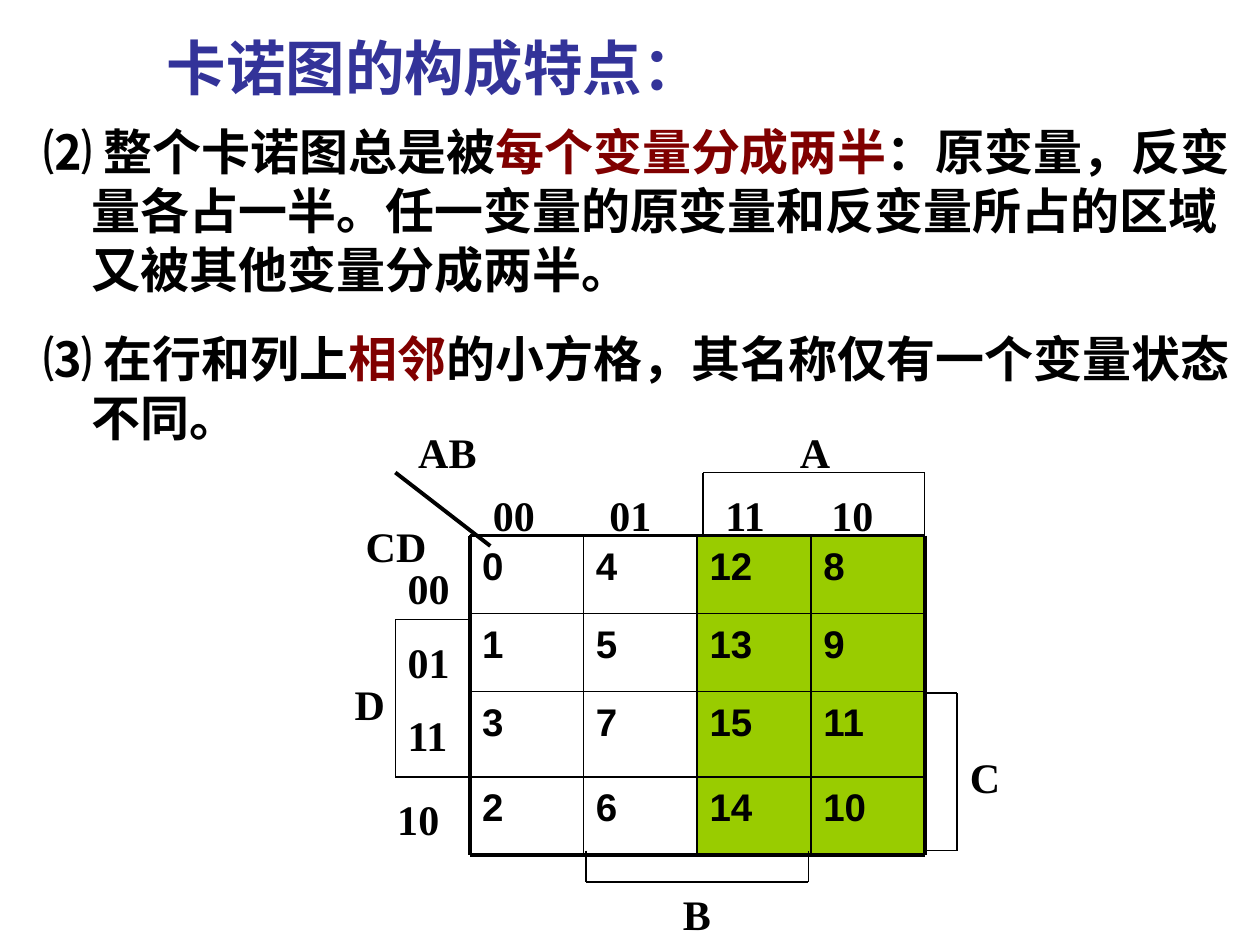
import itertools

import pptx
import pptx.dml.color
import pptx.enum.shapes
import pptx.enum.text
import pptx.oxml
import pptx.oxml.ns
import pptx.util

SLIDE_WIDTH, SLIDE_HEIGHT = 10, 7.5
COLUMNS, ROWS = 120, 90
INK, TITLE_BLUE, ACCENT, GREEN, WHITE = "000000", "333399", "800000", "99CC00", "FFFFFF"
THIN, INNER, THICK = 0.75, 1, 2.25

MAP_LEFT, MAP_TOP, MAP_CELL_WIDTH = 44.75, 51, 10.83
MAP_ROW_HEIGHTS = (7.43, 7.43, 8.14, 7.4)
MINTERMS = ((0, 4, 12, 8), (1, 5, 13, 9), (3, 7, 15, 11), (2, 6, 14, 10))
MAP_SIZE = len(MINTERMS)
COLUMN_EDGES = [MAP_LEFT + MAP_CELL_WIDTH * step for step in range(MAP_SIZE + 1)]
ROW_EDGES = list(itertools.accumulate(MAP_ROW_HEIGHTS, initial=MAP_TOP))
MAP_RIGHT, MAP_BOTTOM = COLUMN_EDGES[-1], ROW_EDGES[-1]

TITLE_FORMAT = {"name": "Arial", "size": pptx.util.Pt(34), "bold": True}
BODY_FORMAT = {"name": "Arial", "size": pptx.util.Pt(28), "bold": True}
CELL_FORMAT = {"name": "Arial", "size": pptx.util.Pt(22), "bold": True}
LABEL_FORMAT = {"name": "Times New Roman", "size": pptx.util.Pt(24), "bold": True}

TITLE = [[("卡诺图的构成特点：", TITLE_BLUE)]]
FEATURES = [
    [("⑵ 整个卡诺图总是被", INK), ("每个变量分成两半", ACCENT),
     ("：原变量，反变量各占一半。任一变量的原变量和反变量所占的区域又被其他变量分成两半。", INK)],
    [("⑶ 在行和列上", INK), ("相邻", ACCENT),
     ("的小方格，其名称仅有一个变量状态不同。", INK)],
]
VARIABLE_LABELS = (
    ("A", 75, 40), ("B", 63.85, 84), ("C", 91.2, 71), ("D", 32.6, 64),
    ("AB", 38.65, 40), ("CD", 33.65, 49),
)
AB_CODES = (("00", 45.75, 46), ("01", 56.85, 46), ("11", 67.9, 46), ("10", 78, 46))
CD_CODES = (("00", 37.65, 53), ("01", 37.65, 60), ("11", 37.65, 67), ("10", 36.65, 75))
BRACKETS = (
    ((66.95, 51), (66.95, 45), (MAP_RIGHT, 45), (MAP_RIGHT, 51)),
    ((55.8, 81), (55.8, 84), (77, 84), (77, 81)),
    ((MAP_RIGHT, 66), (91.15, 66), (91.15, 81), (MAP_RIGHT, 81)),
    ((MAP_LEFT, 59), (37.65, 59), (37.65, 74), (MAP_LEFT, 74)),
)
CORNER_DIAGONAL = ((37.65, 45), (46.7, 52))


def across(columns):
    """Turn grid columns into a length."""
    return pptx.util.Inches(columns * SLIDE_WIDTH / COLUMNS)


def down(rows):
    """Turn grid rows into a length."""
    return pptx.util.Inches(rows * SLIDE_HEIGHT / ROWS)


def paint(color_format, hex_color):
    """Apply a hex colour to a colour format."""
    color_format.rgb = pptx.dml.color.RGBColor.from_string(hex_color)


def apply_format(target, values):
    """Set each named attribute on the target."""
    for attribute, value in values.items():
        setattr(target, attribute, value)


def add_run(paragraph, wording, hex_color, font_format):
    """Append one formatted run to a paragraph."""
    run = paragraph.add_run()
    run.text = wording
    apply_format(run.font, font_format)
    paint(run.font.color, hex_color)


def add_text(slide, place, paragraphs, font_format, frame_format=None):
    """Add a wrapping text box and return its paragraphs."""
    left, top, width, height = place
    frame = slide.shapes.add_textbox(
        across(left), down(top), across(width), down(height)).text_frame
    apply_format(frame, {"word_wrap": True, **(frame_format or {})})
    for index, runs in enumerate(paragraphs):
        paragraph = frame.add_paragraph() if index else frame.paragraphs[0]
        for wording, hex_color in runs:
            add_run(paragraph, wording, hex_color, font_format)
    return frame.paragraphs


def add_features(slide):
    """Add the numbered features with hanging indents."""
    paragraphs = add_text(slide, (3, 11, 117, 32.3), FEATURES, BODY_FORMAT)
    for index, paragraph in enumerate(paragraphs):
        properties = paragraph._p.get_or_add_pPr()
        properties.set("marL", str(pptx.util.Inches(0.38)))
        properties.set("indent", str(pptx.util.Inches(-0.38)))
        apply_format(paragraph, {
            "line_spacing": pptx.util.Pt(33.6),
            "space_before": pptx.util.Pt(17.5 if index else 0),
        })


def add_label(slide, wording, left, top, width):
    """Add a variable name or code beside the map."""
    add_text(slide, (left, top, width, 6), [[(wording, INK)]], LABEL_FORMAT)


def add_line(slide, start, end, weight):
    """Draw a straight line between two grid points."""
    line = slide.shapes.add_connector(
        pptx.enum.shapes.MSO_CONNECTOR.STRAIGHT,
        across(start[0]), down(start[1]), across(end[0]), down(end[1]))
    line.line.width = pptx.util.Pt(weight)
    paint(line.line.color, INK)
    line._element.spPr.append(pptx.oxml.parse_xml(
        f"<a:effectLst {pptx.oxml.ns.nsdecls('a')}/>"))


def add_cell(slide, row, column):
    """Add one square of the map with its minterm number."""
    cell = slide.shapes.add_shape(
        pptx.enum.shapes.MSO_SHAPE.RECTANGLE,
        across(COLUMN_EDGES[column]), down(ROW_EDGES[row]),
        across(MAP_CELL_WIDTH), down(MAP_ROW_HEIGHTS[row]))
    cell.shadow.inherit = False
    cell.fill.solid()
    paint(cell.fill.fore_color, GREEN if column >= MAP_SIZE / 2 else WHITE)
    paint(cell.line.color, INK)
    cell.line.width = pptx.util.Pt(THIN)
    apply_format(cell.text_frame, {
        "word_wrap": True,
        "vertical_anchor": pptx.enum.text.MSO_ANCHOR.TOP,
    })
    paragraph = cell.text_frame.paragraphs[0]
    paragraph.alignment = pptx.enum.text.PP_ALIGN.LEFT
    add_run(paragraph, str(MINTERMS[row][column]), INK, CELL_FORMAT)


def add_map(slide):
    """Add the squares of the Karnaugh map and its ruling."""
    for row, column in itertools.product(reversed(range(MAP_SIZE)), repeat=2):
        add_cell(slide, row, column)
    weights = (THICK, *[INNER] * (MAP_SIZE - 1), THICK)
    for edge, weight in zip(ROW_EDGES, weights):
        add_line(slide, (MAP_LEFT, edge), (MAP_RIGHT, edge), weight)
    for edge, weight in zip(COLUMN_EDGES, weights):
        add_line(slide, (edge, MAP_TOP), (edge, MAP_BOTTOM), weight)


def main():
    """Build the slide and save it."""
    deck = pptx.Presentation()
    apply_format(deck, {"slide_width": across(COLUMNS), "slide_height": down(ROWS)})
    slide = deck.slides.add_slide(deck.slide_layouts[6])
    add_text(slide, (14.7, 2.4, 68, 8), TITLE, TITLE_FORMAT,
             {"vertical_anchor": pptx.enum.text.MSO_ANCHOR.MIDDLE})
    add_features(slide)
    add_map(slide)
    for bracket in BRACKETS:
        for start, end in itertools.pairwise(bracket):
            add_line(slide, start, end, THIN)
    add_line(slide, *CORNER_DIAGONAL, THICK)
    for wording, left, top in VARIABLE_LABELS:
        add_label(slide, wording, left, top, 7 if len(wording) == 1 else 11)
    for codes, width in ((AB_CODES, 10), (CD_CODES, 9)):
        for wording, left, top in codes:
            add_label(slide, wording, left, top, width)
    deck.save("out.pptx")


if __name__ == "__main__":
    main()
